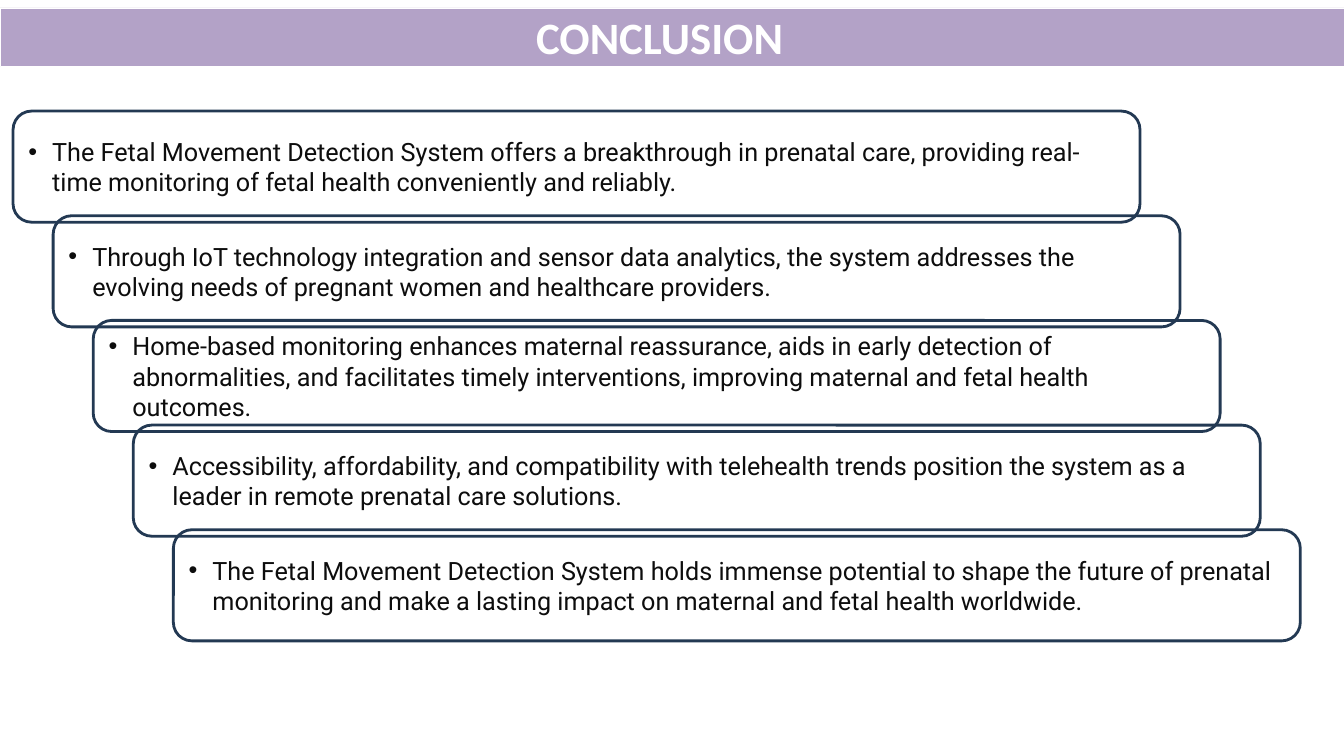
from lxml import etree
from pptx import Presentation
from pptx.dml.color import RGBColor
from pptx.enum.shapes import MSO_SHAPE
from pptx.enum.text import MSO_ANCHOR, PP_ALIGN
from pptx.oxml.ns import qn
from pptx.util import Cm, Pt

RECTANGLE = MSO_SHAPE.RECTANGLE
ROUNDED = MSO_SHAPE.ROUNDED_RECTANGLE
TOP, MIDDLE = MSO_ANCHOR.TOP, MSO_ANCHOR.MIDDLE
LEFT, CENTER = PP_ALIGN.LEFT, PP_ALIGN.CENTER

SLIDE_WIDTH, SLIDE_HEIGHT = 33.87, 19.05
CONCLUSIONS = [
    "The Fetal Movement Detection System offers a breakthrough in prenatal care, "
    "providing real-time monitoring of fetal health conveniently and reliably.",
    "Through IoT technology integration and sensor data analytics, the system "
    "addresses the evolving needs of pregnant women and healthcare providers.",
    "Home-based monitoring enhances maternal reassurance, aids in early detection of "
    "abnormalities, and facilitates timely interventions, improving maternal and "
    "fetal health outcomes.",
    "Accessibility, affordability, and compatibility with telehealth trends position "
    "the system as a leader in remote prenatal care solutions.",
    "The Fetal Movement Detection System holds immense potential to shape the future "
    "of prenatal monitoring and make a lasting impact on maternal and fetal health "
    "worldwide.",
]


def color(value):
    """Turn a hex string into a colour."""
    return RGBColor.from_string(value)


def add_box(slide, kind, left, top, width, height, line, line_width, fill=None):
    """Draw a preset shape with an outline and an optional fill."""
    shape = slide.shapes.add_shape(kind, Cm(left), Cm(top), Cm(width), Cm(height))
    shape.shadow.inherit = False
    if fill:
        shape.fill.solid()
        shape.fill.fore_color.rgb = color(fill)
    else:
        shape.fill.background()
    shape.line.color.rgb = color(line)
    shape.line.width = Pt(line_width)
    return shape


def write_text(shape, text, font, size, ink, bold=False, align=LEFT, anchor=TOP,
               bullet_indent=None):
    """Write one formatted paragraph into a shape."""
    frame = shape.text_frame
    frame.word_wrap = True
    frame.vertical_anchor = anchor
    paragraph = frame.paragraphs[0]
    paragraph.alignment = align
    run = paragraph.add_run()
    run.text = text
    run.font.name = font
    run.font.size = Pt(size)
    run.font.bold = bold
    run.font.color.rgb = color(ink)
    if bullet_indent:
        properties = paragraph._p.get_or_add_pPr()
        properties.set("marL", str(Cm(bullet_indent)))
        properties.set("indent", str(-Cm(bullet_indent)))
        etree.SubElement(properties, qn("a:buFont"), typeface="Arial")
        etree.SubElement(properties, qn("a:buChar"), char="•")


def add_title_band(slide, left, top, width, height):
    """Draw the coloured band with the centred slide title."""
    add_box(slide, RECTANGLE, left, top, width, height, "FFFFFF", 0.25, "B3A2C7")
    title_width = 22.23
    title = slide.shapes.add_textbox(
        Cm(left + 5.51), Cm(top - 0.07), Cm(title_width), Cm(height + 0.3))
    write_text(title, "CONCLUSION", "Calibri", 32, "FFFFFF", bold=True, align=CENTER)


def add_staircase(slide, left, top, width, height, texts):
    """Place equal rounded boxes from the top left to the bottom right of an area."""
    box_width, box_height = 28.4, 2.8
    steps = len(texts) - 1
    step_x = (width - box_width) / steps
    step_y = (height - box_height) / steps
    for index, text in enumerate(texts):
        box = add_box(slide, ROUNDED, left + index * step_x, top + index * step_y,
                      box_width, box_height, "233953", 2)
        write_text(box, text, "Roboto", 18, "0D0D0D", anchor=MIDDLE, bullet_indent=0.6)


def main():
    """Build and save the conclusion slide."""
    presentation = Presentation()
    presentation.slide_width = Cm(SLIDE_WIDTH)
    presentation.slide_height = Cm(SLIDE_HEIGHT)
    slide = presentation.slides.add_slide(presentation.slide_layouts[6])
    add_title_band(slide, 0, 0.2, SLIDE_WIDTH, 1.48)
    add_staircase(slide, 0.33, 2.8, 32.44, 13.35, CONCLUSIONS)
    presentation.save("out.pptx")


if __name__ == "__main__":
    main()
